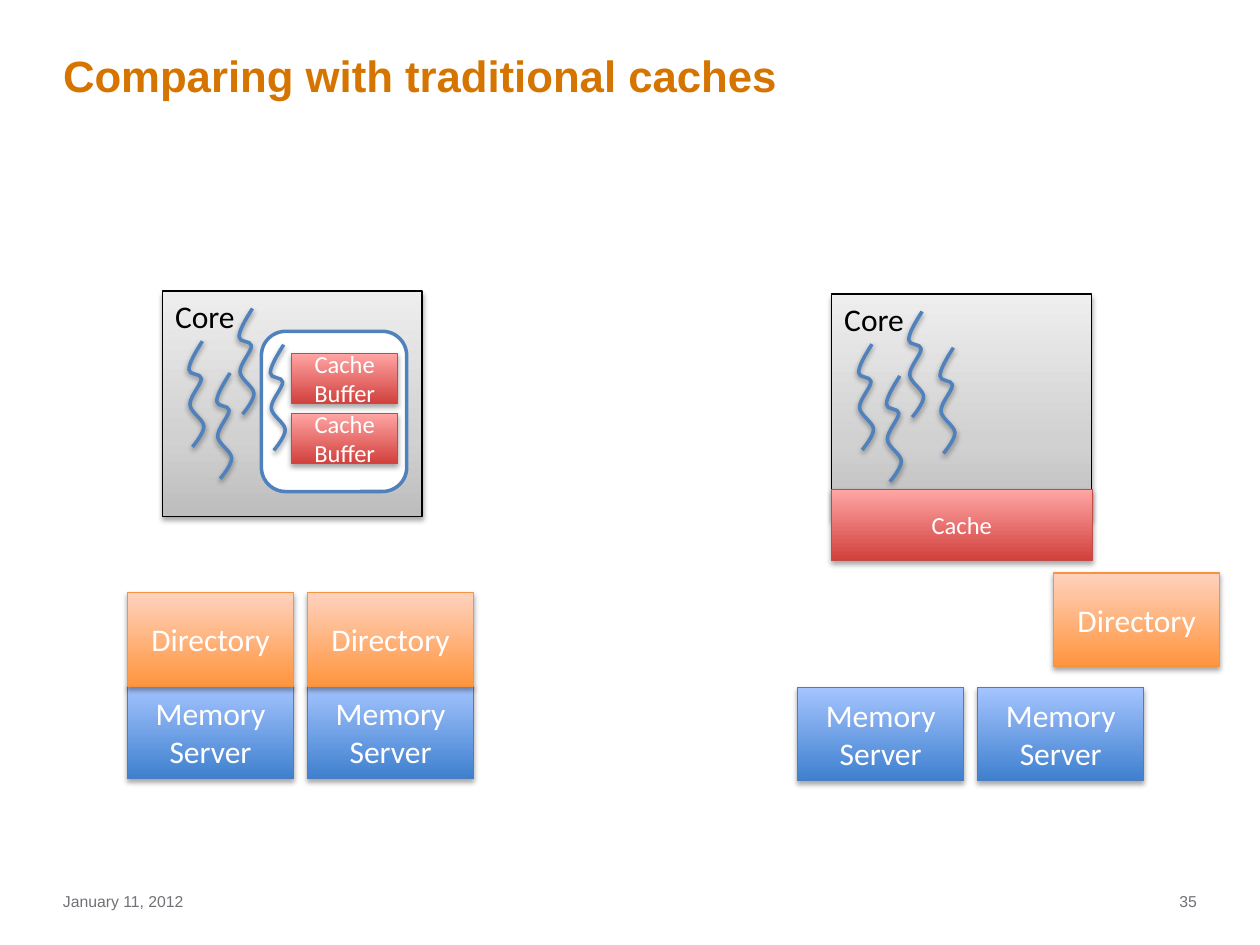
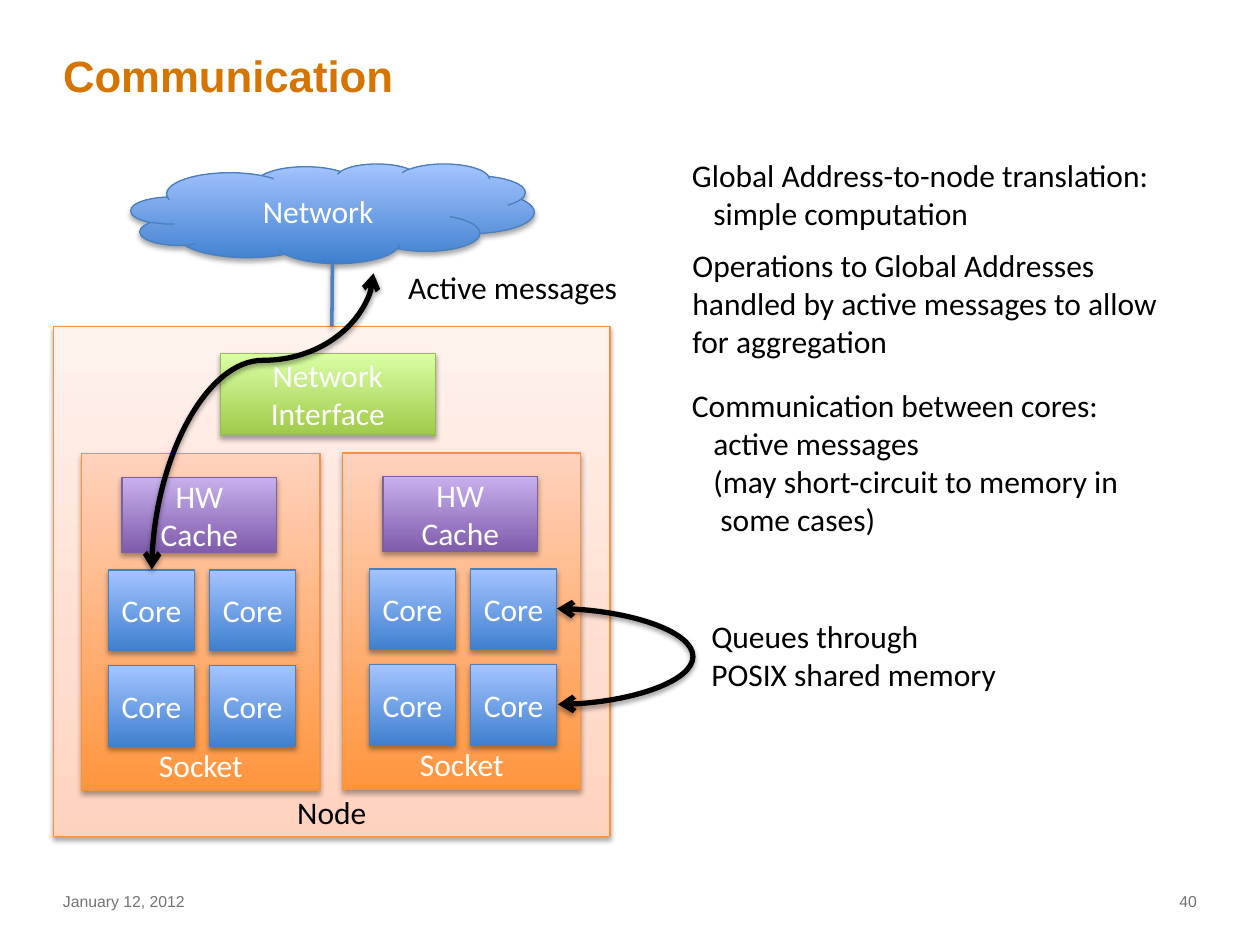
"""Build two slides on cache structure and communication in a multicore system."""
from copy import deepcopy
from itertools import product

from lxml.etree import SubElement
from pptx import Presentation
from pptx.dml.color import RGBColor
from pptx.enum.shapes import MSO_CONNECTOR, MSO_SHAPE
from pptx.enum.text import MSO_ANCHOR, PP_ALIGN
from pptx.oxml.ns import qn
from pptx.util import Cm, Pt

COLOURS = {
    "title": "D57500",
    "footer": "707276",
    "black": "000000",
    "white": "FFFFFF",
    "outline": "4F81BD",
}
GRADIENTS = {
    "grey": ((0, "BDBDBD"), (0.35, "D1D1D1"), (1, "EEEEEE")),
    "peach": ((0, "FFD2BD"), (0.35, "FFDED0"), (1, "FFF2ED")),
    "blue": ((0, "3F80CE"), (1, "A4C4FF")),
    "red": ((0, "D1403C"), (1, "FFA6A5")),
    "orange": ((0, "FF953E"), (1, "FFD2BD")),
    "purple": ((0, "7F5BAB"), (1, "C8B0ED")),
    "green": ((0, "A0CA4A"), (1, "DAFFA5")),
}
BORDERS = {
    "grey": "000000",
    "peach": "F69240",
    "blue": "4B7EBC",
    "red": "BF4C48",
    "orange": "F69240",
    "purple": "7D60A0",
    "green": "98B955",
}
THREAD_START = (0.27, 0)
THREAD_CURVES = (
    (0.13, 0.22), (0, 0.44), (0, 0.57),
    (0, 0.69), (0.24, 0.64), (0.25, 0.75),
    (0.25, 0.87), (0.01, 1.12), (0.02, 1.28),
    (0.03, 1.43), (0.29, 1.57), (0.3, 1.71),
    (0.31, 1.85), (0.07, 2.13), (0.07, 2.13),
)
THREAD_OFFSETS = ((0.54, 1.02), (2.18, 1.09), (1.1, 1.66), (1.55, 0.36))
SERVER_SIZE = (3.35, 1.88)
SERVER_STEP = 3.63


def rgb(value):
    return RGBColor.from_string(value)


def write(frame, text, size=18, colour="black", font="Calibri", bold=False,
          align=PP_ALIGN.LEFT, anchor=MSO_ANCHOR.TOP, inset=None, hanging=0):
    """Fill a text frame with one paragraph whose later lines may hang, in cm."""
    frame.word_wrap = True
    frame.vertical_anchor = anchor
    if inset is not None:
        frame.margin_left = frame.margin_right = Cm(inset)
        frame.margin_top = frame.margin_bottom = Cm(inset)
    para = frame.paragraphs[0]
    para.alignment = align
    if hanging:
        settings = para._p.get_or_add_pPr()
        settings.set("marL", str(Cm(hanging)))
        settings.set("indent", str(-Cm(hanging)))
    for index, line in enumerate(text.split("\n")):
        if index:
            para.add_line_break()
        span = para.add_run()
        span.text = line
        span.font.size = Pt(size)
        span.font.name = font
        span.font.bold = bold
        span.font.color.rgb = rgb(COLOURS[colour])


def add_shadow(shape, opacity=35, distance=1.8):
    properties = shape._element.spPr
    effects = properties.find(qn("a:effectLst"))
    if effects is None:
        effects = SubElement(properties, qn("a:effectLst"))
    shadow = SubElement(effects, qn("a:outerShdw"), blurRad=str(Pt(3.1)),
                        dist=str(Pt(distance)), dir="5400000", rotWithShape="0")
    colour = SubElement(shadow, qn("a:srgbClr"), val=COLOURS["black"])
    SubElement(colour, qn("a:alpha"), val=str(opacity * 1000))


def fill_gradient(shape, stops):
    shape.fill.gradient()
    shape.fill.gradient_angle = 90
    stop_list = shape._element.spPr.find(".//" + qn("a:gsLst"))
    for _ in range(len(stops) - len(stop_list)):
        stop_list.append(deepcopy(stop_list[-1]))
    for stop, (position, colour) in zip(shape.fill.gradient_stops, stops):
        stop.position = position
        stop.color.rgb = rgb(colour)


def add_block(page, left, top, width, height, text, tone, kind=MSO_SHAPE.RECTANGLE,
              colour="white", align=PP_ALIGN.CENTER, anchor=MSO_ANCHOR.MIDDLE, size=18):
    """Draw a labelled shape with a gradient, a thin border and a soft shadow."""
    block = page.shapes.add_shape(kind, Cm(left), Cm(top), Cm(width), Cm(height))
    block.shadow.inherit = False
    fill_gradient(block, GRADIENTS[tone])
    block.line.color.rgb = rgb(BORDERS[tone])
    block.line.width = Pt(0.75)
    add_shadow(block)
    write(block.text_frame, text, size=size, colour=colour, align=align, anchor=anchor)
    return block


def add_text(page, left, top, width, height, text, **text_format):
    box = page.shapes.add_textbox(Cm(left), Cm(top), Cm(width), Cm(height))
    write(box.text_frame, text, **text_format)


def add_link(page, kind, start, end, colour, weight, arrows=False, bend=None, turn=0):
    """Draw a connector with optional arrowheads, bend (percent of width) and turn."""
    link = page.shapes.add_connector(kind, *map(Cm, start + end))
    link.line.color.rgb = rgb(COLOURS[colour])
    link.line.width = Pt(weight)
    properties = link._element.spPr
    if arrows:
        for tag in ("a:headEnd", "a:tailEnd"):
            SubElement(properties.find(qn("a:ln")), qn(tag), type="arrow")
    if bend is not None:
        guides = properties.find(".//" + qn("a:avLst"))
        SubElement(guides, qn("a:gd"), name="adj1", fmla=f"val {round(bend * 1000)}")
    if turn:
        properties.find(qn("a:xfrm")).set("rot", str(turn * 60000))
    add_shadow(link, opacity=38, distance=1.6)
    return link


def round_segments(shape):
    """Turn each three straight segments of a freeform into one cubic curve."""
    outline = shape._element.spPr.find(".//" + qn("a:path"))
    segments = outline.findall(qn("a:lnTo"))
    for index in range(0, len(segments), 3):
        curve = SubElement(outline, qn("a:cubicBezTo"))
        for segment in segments[index:index + 3]:
            curve.append(segment[0])
            outline.remove(segment)


def add_thread(page, left, top):
    points = [(Cm(left + x), Cm(top + y)) for x, y in THREAD_CURVES]
    builder = page.shapes.build_freeform(Cm(left + THREAD_START[0]), Cm(top))
    builder.add_line_segments(points, close=False)
    thread = builder.convert_to_shape()
    round_segments(thread)
    thread.shadow.inherit = False
    thread.fill.background()
    thread.line.color.rgb = rgb(COLOURS["outline"])
    thread.line.width = Pt(2)
    add_shadow(thread, opacity=38, distance=1.6)


def add_threads(page, left, top):
    for x, y in THREAD_OFFSETS:
        add_thread(page, left + x, top + y)


def add_core(page, left, top):
    add_block(page, left, top, 5.23, 4.55, "Core", "grey", colour="black",
              align=PP_ALIGN.LEFT, anchor=MSO_ANCHOR.TOP)


def add_memory_servers(page, left, top):
    for column in range(2):
        add_block(page, left + column * SERVER_STEP, top, *SERVER_SIZE,
                  "Memory Server", "blue")


def add_socket(page, left, top):
    add_block(page, left, top, 4.8, 6.78, "Socket", "orange", anchor=MSO_ANCHOR.BOTTOM)
    add_block(page, left + 0.81, top + 0.47, 3.12, 1.52, "HW Cache", "purple")
    for row, column in product(range(2), repeat=2):
        add_block(page, left + 0.54 + column * 2.04, top + 2.34 + row * 1.93,
                  1.73, 1.63, "Core", "blue")


def add_page(deck, title, date, number):
    """Add a slide with the shared title style and footer."""
    page = deck.slides.add_slide(deck.slide_layouts[5])
    heading = page.shapes.title
    heading.left, heading.top = Cm(1.27), Cm(0.99)
    heading.width, heading.height = Cm(18.42), Cm(1.07)
    write(heading.text_frame, title, size=25, colour="title", font="Arial",
          bold=True, inset=0)
    for left, text, align in ((1.27, date, PP_ALIGN.LEFT), (18.21, number, PP_ALIGN.RIGHT)):
        add_text(page, left, 17.65, 5.92, 1.02, text, size=9, colour="footer",
                 font="Arial", align=align, anchor=MSO_ANCHOR.MIDDLE, inset=0)
    return page


def build_cache_comparison(deck):
    page = add_page(deck, "Comparing with traditional caches", "January 11, 2012", "35")

    add_core(page, 3.28, 5.87)
    buffer_area = page.shapes.add_shape(MSO_SHAPE.ROUNDED_RECTANGLE,
                                        Cm(5.27), Cm(6.68), Cm(2.93), Cm(3.23))
    buffer_area.shadow.inherit = False
    buffer_area.fill.solid()
    buffer_area.fill.fore_color.rgb = rgb(COLOURS["white"])
    buffer_area.line.color.rgb = rgb(COLOURS["outline"])
    buffer_area.line.width = Pt(2)
    add_threads(page, 3.27, 5.86)
    for row in range(2):
        add_block(page, 5.88, 7.12 + row * 1.21, 2.14, 1.02, "Cache Buffer", "red", size=14)
    add_memory_servers(page, 2.57, 13.82)
    for column in range(2):
        add_block(page, 2.57 + column * SERVER_STEP, 11.95, *SERVER_SIZE,
                  "Directory", "orange")

    add_core(page, 16.77, 5.93)
    add_threads(page, 16.77, 5.92)
    add_block(page, 16.76, 9.87, 5.26, 1.43, "Cache", "red", size=14)
    add_memory_servers(page, 16.08, 13.86)
    add_block(page, 21.24, 11.55, *SERVER_SIZE, "Directory", "orange")


def build_communication(deck):
    page = add_page(deck, "Communication", "January 12, 2012", "40")
    node = add_block(page, 1.08, 6.58, 11.22, 10.29, "Node", "peach",
                     colour="black", anchor=MSO_ANCHOR.BOTTOM)
    for column in range(2):
        add_socket(page, 1.65 + column * 5.26, 9.15 - column * 0.02)
    add_block(page, 4.44, 7.12, 4.34, 1.65, "Network Interface", "green")
    add_block(page, 2.64, 3.3, 8.13, 2.01, "Network", "blue", kind=MSO_SHAPE.CLOUD)

    uplink = add_link(page, MSO_CONNECTOR.STRAIGHT, (6.69, 6.58), (6.7, 5.31), "outline", 2)
    uplink.begin_connect(node, 0)
    add_link(page, MSO_CONNECTOR.CURVE, (11.23, 12.27), (11.25, 14.2), "black", 3,
             arrows=True, bend=13700)
    add_link(page, MSO_CONNECTOR.CURVE, (2.31, 6.26), (8.28, 10.73), "black", 3,
             arrows=True, bend=29.4, turn=90)

    add_text(page, 7.98, 5.28, 4.93, 1.02, "Active messages")
    add_text(page, 14.09, 12.32, 6.33, 1.8, "Queues through \nPOSIX shared memory")
    add_text(page, 13.7, 3.02, 10.44, 1.8,
             "Global Address-to-node translation:\nsimple computation", hanging=0.43)
    add_text(page, 13.71, 4.84, 10.44, 2.57,
             "Operations to Global Addresses handled by active messages "
             "to allow for aggregation")
    add_text(page, 13.7, 7.66, 10.44, 3.33,
             "Communication between cores:\nactive messages\n"
             "(may short-circuit to memory in\n some cases)", hanging=0.43)


def main():
    deck = Presentation()
    deck.slide_width, deck.slide_height = Cm(25.4), Cm(19.05)
    build_cache_comparison(deck)
    build_communication(deck)
    deck.save("out.pptx")


if __name__ == "__main__":
    main()
